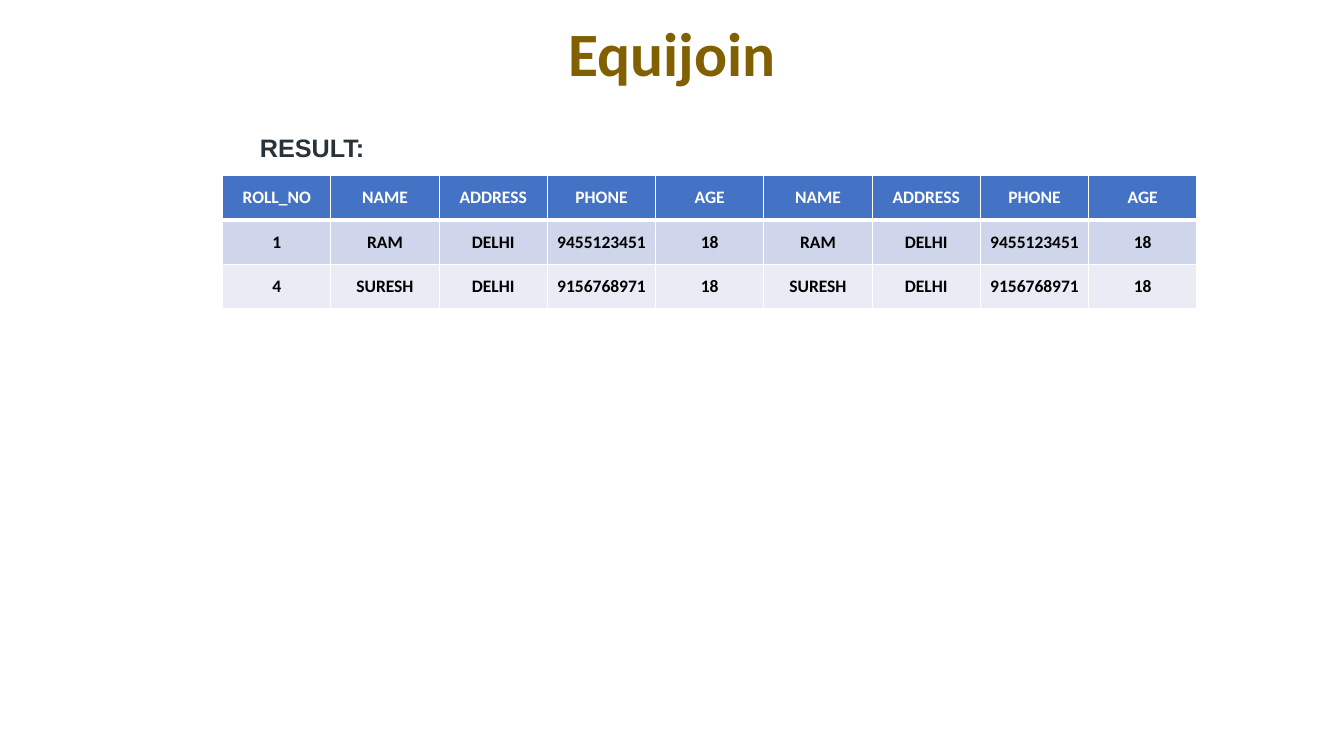
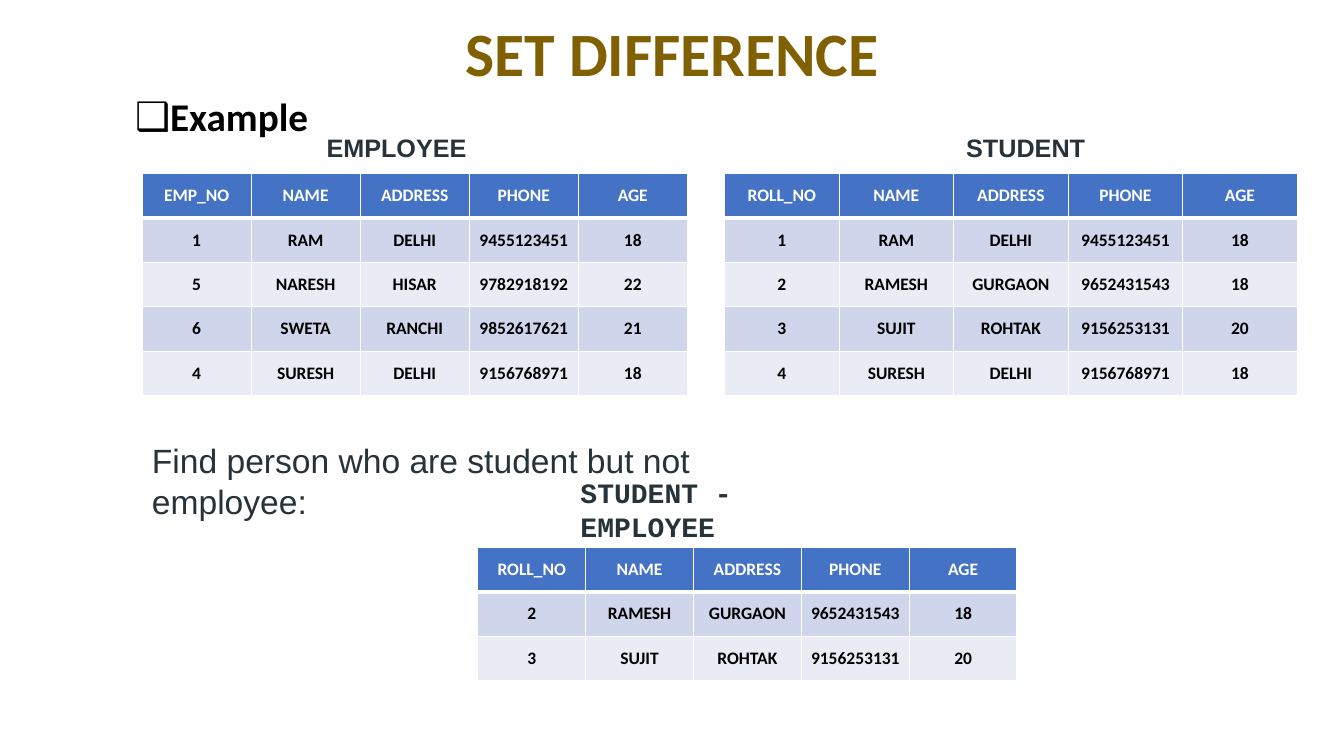
from lxml import etree
from pptx import Presentation
from pptx.dml.color import RGBColor
from pptx.enum.text import MSO_ANCHOR, MSO_AUTO_SIZE, PP_ALIGN
from pptx.oxml.ns import qn
from pptx.util import Cm, Pt

MIDDLE, TOP = MSO_ANCHOR.MIDDLE, MSO_ANCHOR.TOP
CENTER, LEFT = PP_ALIGN.CENTER, PP_ALIGN.LEFT
FIXED = MSO_AUTO_SIZE.NONE

COLORS = {"title": "806000", "dark": "273239", "black": "000000",
          "white": "FFFFFF", "head": "4472C4", "odd": "CFD5EA",
          "even": "E9EBF5"}

FIELDS = ["NAME", "ADDRESS", "PHONE", "AGE"]
EMPLOYEES = [
    ["1", "RAM", "DELHI", "9455123451", "18"],
    ["5", "NARESH", "HISAR", "9782918192", "22"],
    ["6", "SWETA", "RANCHI", "9852617621", "21"],
    ["4", "SURESH", "DELHI", "9156768971", "18"],
]
STUDENTS = [
    ["1", "RAM", "DELHI", "9455123451", "18"],
    ["2", "RAMESH", "GURGAON", "9652431543", "18"],
    ["3", "SUJIT", "ROHTAK", "9156253131", "20"],
    ["4", "SURESH", "DELHI", "9156768971", "18"],
]
JOINED = [row + row[1:] for row in STUDENTS if row in EMPLOYEES]
ONLY = [row for row in STUDENTS if row not in EMPLOYEES]

# Boxes are left, top, width, height in cm; tables are left, top, width.
SLIDES = [
    {"title": "Equijoin", "layout": 5,
     "tables": [((5.61, 4.42, 24.56), ["ROLL_NO"] + FIELDS * 2, JOINED)],
     "labels": [("RESULT:", (6.3, 3.2, 3.73, 1.02))]},
    {"title": "SET DIFFERENCE", "layout": 1, "body": "Example",
     "tables": [((3.58, 4.37, 13.74), ["EMP_NO"] + FIELDS, EMPLOYEES),
                ((18.26, 4.37, 14.43), ["ROLL_NO"] + FIELDS, STUDENTS),
                ((12.04, 13.79, 13.59), ["ROLL_NO"] + FIELDS, ONLY)],
     "labels": [("EMPLOYEE", (7.98, 3.2, 4.83, 1.02)),
                ("STUDENT", (24.1, 3.2, 3.96, 1.02))],
     "task": ("Find person who are student but not employee:",
              (3.58, 10.97, 16.94, 1.27)),
     "query": ("STUDENT - EMPLOYEE", (14.63, 12.4, 7.39, 0.86))},
]
TITLE_BOX = (2.34, 0.05, 29.21, 2.74)
BODY_BOX = (3.15, 2.34, 30.33, 14.81)
ROW = 1.12


def style(para, size, color, bold=True, font="Calibri", align=LEFT):
    para.alignment = align
    for run in para.runs:
        run.font.name, run.font.size, run.font.bold = font, Pt(size), bold
        run.font.color.rgb = RGBColor.from_string(COLORS[color])


def place(shape, box):
    shape.left, shape.top, shape.width, shape.height = map(Cm, box)


def fill_holder(holder, text, box, anchor):
    """Move a placeholder, set its text and return the paragraph."""
    place(holder, box)
    frame = holder.text_frame
    frame.text = text
    frame.auto_size, frame.vertical_anchor = FIXED, anchor
    para = frame.paragraphs[0]
    para.line_spacing, para.space_before = 0.9, Pt(0)
    return para


def add_title(slide, text):
    para = fill_holder(slide.shapes.title, text, TITLE_BOX, MIDDLE)
    style(para, 44, "title", align=CENTER)


def add_body(slide, text):
    para = fill_holder(slide.placeholders[1], text, BODY_BOX, TOP)
    props = para._p.get_or_add_pPr()
    props.set("marL", str(Cm(0.64)))
    props.set("indent", str(-Cm(0.64)))
    etree.SubElement(props, qn("a:buFont"), typeface="Arial")
    etree.SubElement(props, qn("a:buChar"), char="❑")
    style(para, 28, "black")


def add_text(slide, text, box, size, bold=True, font="Arial"):
    frame = slide.shapes.add_textbox(*map(Cm, box)).text_frame
    frame.word_wrap = True
    frame.text = text
    style(frame.paragraphs[0], size, "dark", bold, font)
    return frame


def add_edges(cell, top, bottom):
    """Draw white borders; top and bottom are widths in points."""
    props = cell._tc.get_or_add_tcPr()
    edges = [("L", 1), ("R", 1), ("T", top), ("B", bottom)]
    for spot, (side, width) in enumerate(edges):
        line = etree.Element(qn(f"a:ln{side}"), w=str(Pt(width)))
        solid = etree.SubElement(line, qn("a:solidFill"))
        etree.SubElement(solid, qn("a:srgbClr"), val=COLORS["white"])
        props.insert(spot, line)


def add_grid(slide, spot, head, rows):
    left, top, width = spot
    lines = [head] + rows
    table = slide.shapes.add_table(
        len(lines), len(head), Cm(left), Cm(top), Cm(width),
        Cm(ROW * len(lines))).table
    for col in table.columns:
        col.width = Cm(width / len(head))
    for r, line in enumerate(lines):
        table.rows[r].height = Cm(ROW)
        shade = "head" if r == 0 else "odd" if r % 2 else "even"
        for c, text in enumerate(line):
            cell = table.cell(r, c)
            cell.text = text
            cell.vertical_anchor = MIDDLE
            cell.margin_left = cell.margin_right = Cm(0.2)
            cell.margin_top = cell.margin_bottom = Cm(0.29)
            cell.fill.solid()
            cell.fill.fore_color.rgb = RGBColor.from_string(COLORS[shade])
            add_edges(cell, 3 if r == 1 else 1, 3 if r == 0 else 1)
            style(cell.text_frame.paragraphs[0], 12.5,
                  "black" if r else "white", align=CENTER)


def add_query(slide, text, box):
    frame = add_text(slide, text, box, 20, font="Courier New")
    frame.vertical_anchor = MIDDLE
    frame.margin_left = frame.margin_right = 0
    frame.margin_top = frame.margin_bottom = 0


def main():
    deck = Presentation()
    deck.slide_width, deck.slide_height = Cm(33.87), Cm(19.05)
    for data in SLIDES:
        slide = deck.slides.add_slide(deck.slide_layouts[data["layout"]])
        add_title(slide, data["title"])
        if "body" in data:
            add_body(slide, data["body"])
        for grid in data["tables"]:
            add_grid(slide, *grid)
        for text, box in data["labels"]:
            add_text(slide, text, box, 18)
        if "task" in data:
            add_text(slide, *data["task"], 24, bold=False)
        if "query" in data:
            add_query(slide, *data["query"])
    deck.save("out.pptx")


if __name__ == "__main__":
    main()
